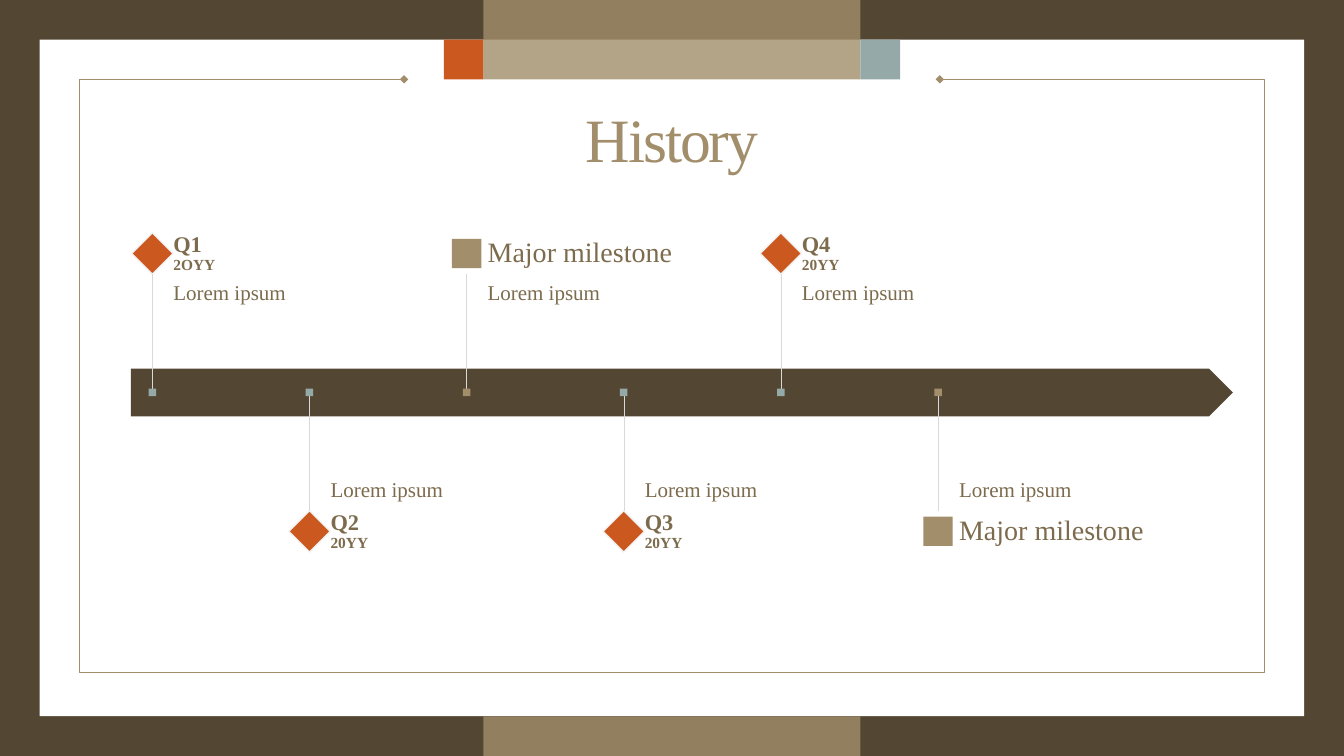
from lxml.etree import SubElement
from pptx import Presentation
from pptx.dml.color import RGBColor
from pptx.enum.shapes import MSO_CONNECTOR, MSO_SHAPE
from pptx.enum.text import MSO_ANCHOR, MSO_AUTO_SIZE, PP_ALIGN
from pptx.oxml.ns import qn
from pptx.util import Cm, Pt

# The layout grid has columns and rows of one centimetre.
WIDTH, HEIGHT = 33.87, 19.05
BANNER_WIDTH = 9.5
BANNER_LEFT = (WIDTH - BANNER_WIDTH) / 2
BANNER_RIGHT = BANNER_LEFT + BANNER_WIDTH
FRAME_MARGIN, FRAME_BOTTOM = 2, 16.95

AXIS = 9.89
FIRST_STOP, STOP_STEP = 3.84, 3.96
MARKER_DISTANCE = 3.5
MARKER, DOT = 0.74, 0.19
TEXT_OFFSET, TEXT_WIDTH = 0.53, 6.6
LABEL_HEIGHT = 1.04
STEM = MARKER_DISTANCE - LABEL_HEIGHT / 2

FONT = "Times New Roman"
BROWN, TAN, ORANGE, TEAL = "534733", "A28E6A", "CB581F", "96A9A9"
TEXT, WHITE, MARKER_EDGE, STEM_GREY = "7C6B4D", "FFFFFF", "F2F2F2", "D9D9D9"

MILESTONE = "Major milestone"
STOPS = [
    ("Q1", "2OYY"),
    ("Q2", "20YY"),
    (MILESTONE, None),
    ("Q3", "20YY"),
    ("Q4", "20YY"),
    (MILESTONE, None),
]


def paint(color_format, hex_color):
    """Apply a hex colour to a fill, line or font."""
    if hasattr(color_format, "solid"):
        color_format.solid()
        color_format = color_format.fore_color
    else:
        color_format = color_format.color
    color_format.rgb = RGBColor.from_string(hex_color)


def add_block(shapes, left, top, width, height, color,
              kind=MSO_SHAPE.RECTANGLE, opacity=None):
    block = shapes.add_shape(kind, Cm(left), Cm(top), Cm(width), Cm(height))
    block.shadow.inherit = False
    paint(block.fill, color)
    block.line.fill.background()
    if opacity:
        solid_color = block.element.spPr.find(qn("a:solidFill"))[0]
        SubElement(solid_color, qn("a:alpha"), val=str(opacity * 1000))
    return block


def add_centred_square(shapes, x, y, size, color):
    return add_block(shapes, x - size / 2, y - size / 2, size, size, color)


def add_text(shapes, left, top, height, size, anchor, insets=(0, 0, 0, 0)):
    """Add an empty text box and return its styled paragraph."""
    frame = shapes.add_textbox(Cm(left), Cm(top), Cm(TEXT_WIDTH), Cm(height)).text_frame
    frame.word_wrap = True
    frame.vertical_anchor = anchor
    (frame.margin_left, frame.margin_top,
     frame.margin_right, frame.margin_bottom) = map(Cm, insets)
    paragraph = frame.paragraphs[0]
    style(paragraph, size, TEXT)
    return paragraph


def style(paragraph, size, color):
    paragraph.line_spacing = 0.9
    paragraph.font.name = FONT
    paragraph.font.size = Pt(size)
    paint(paragraph.font, color)


def add_frame(shapes):
    """Draw the thin border that stops short of the banner on both sides."""
    right = WIDTH - FRAME_MARGIN
    corners = [(right, FRAME_MARGIN), (right, FRAME_BOTTOM),
               (FRAME_MARGIN, FRAME_BOTTOM), (FRAME_MARGIN, FRAME_MARGIN),
               (BANNER_LEFT - 2, FRAME_MARGIN)]
    builder = shapes.build_freeform(Cm(BANNER_RIGHT + 2), Cm(FRAME_MARGIN))
    builder.add_line_segments([(Cm(x), Cm(y)) for x, y in corners], close=False)
    border = builder.convert_to_shape()
    border.shadow.inherit = False
    border.fill.background()
    paint(border.line, TAN)
    border.line.width = Pt(1)
    line = border.element.spPr.find(qn("a:ln"))
    for end in ("a:headEnd", "a:tailEnd"):
        SubElement(line, qn(end), type="diamond")


def add_backdrop(shapes):
    add_block(shapes, 1, 1, WIDTH - 2, HEIGHT - 2, WHITE)
    add_frame(shapes)
    add_block(shapes, BANNER_LEFT, 0, BANNER_WIDTH, 2, TAN, opacity=80)
    add_block(shapes, BANNER_LEFT - 1, 1, 1, 1, ORANGE)
    add_block(shapes, BANNER_RIGHT, 1, 1, 1, TEAL)
    add_block(shapes, BANNER_LEFT, HEIGHT - 1, BANNER_WIDTH, 1, TAN, opacity=80)


def set_title(title, wording):
    title.left, title.top, title.width, title.height = map(Cm, (2.33, 2.5, 29.21, 2.2))
    frame = title.text_frame
    frame.text = wording
    frame.auto_size = MSO_AUTO_SIZE.NONE
    frame.vertical_anchor = MSO_ANCHOR.MIDDLE
    heading = frame.paragraphs[0]
    heading.alignment = PP_ALIGN.CENTER
    style(heading, 44, TAN)
    heading.runs[0].font._element.set("spc", "-150")
    # Bring the title in front of the white panel.
    title.element.getparent().append(title.element)


def add_stem(shapes, x, end):
    stem = shapes.add_connector(MSO_CONNECTOR.STRAIGHT, Cm(x), Cm(AXIS), Cm(x), Cm(end))
    paint(stem.line, STEM_GREY)
    stem.line.width = Pt(0.25)
    SubElement(stem.element.spPr, qn("a:effectLst"))


def add_stop(shapes, x, above, name, year):
    """Add one stop: marker, label, description, stem and dot on the arrow."""
    side = -1 if above else 1
    marker_y = AXIS + side * MARKER_DISTANCE
    marker = add_centred_square(shapes, x, marker_y, MARKER, ORANGE if year else TAN)
    if year:
        marker.rotation = 45
        paint(marker.line, MARKER_EDGE)
        marker.line.width = Pt(1)

    text_left = x + TEXT_OFFSET
    if above:
        description = add_text(shapes, text_left, AXIS - STEM, STEM, 15,
                               MSO_ANCHOR.TOP, (0, 0.25, 0.25, 0.41))
    else:
        description = add_text(shapes, text_left, AXIS, STEM, 15,
                               MSO_ANCHOR.BOTTOM, (0, 0.41, 0, 0.25))
    description.add_run().text = "Lorem ipsum"

    label = add_text(shapes, text_left, marker_y - LABEL_HEIGHT / 2, LABEL_HEIGHT,
                     16 if year else 20, MSO_ANCHOR.MIDDLE)
    label.add_run().text = name
    if year:
        label.font.bold = True
        label.add_line_break()
        year_run = label.add_run()
        year_run.text = year
        year_run.font.size = Pt(11)

    add_stem(shapes, x, AXIS + side * STEM)
    add_centred_square(shapes, x, AXIS, DOT, TEAL if year else TAN)


def add_timeline(shapes):
    thickness = 1.2
    add_block(shapes, 3.3, AXIS - thickness / 2, 27.77, thickness, BROWN,
              MSO_SHAPE.PENTAGON)
    for index, (name, year) in enumerate(STOPS):
        add_stop(shapes, FIRST_STOP + index * STOP_STEP, index % 2 == 0, name, year)


def main():
    deck = Presentation()
    deck.slide_width, deck.slide_height = Cm(WIDTH), Cm(HEIGHT)
    slide = deck.slides.add_slide(deck.slide_layouts[5])
    paint(slide.background.fill, BROWN)
    add_backdrop(slide.shapes)
    set_title(slide.shapes.title, "History")
    add_timeline(slide.shapes.add_group_shape().shapes)
    deck.save("out.pptx")


if __name__ == "__main__":
    main()
